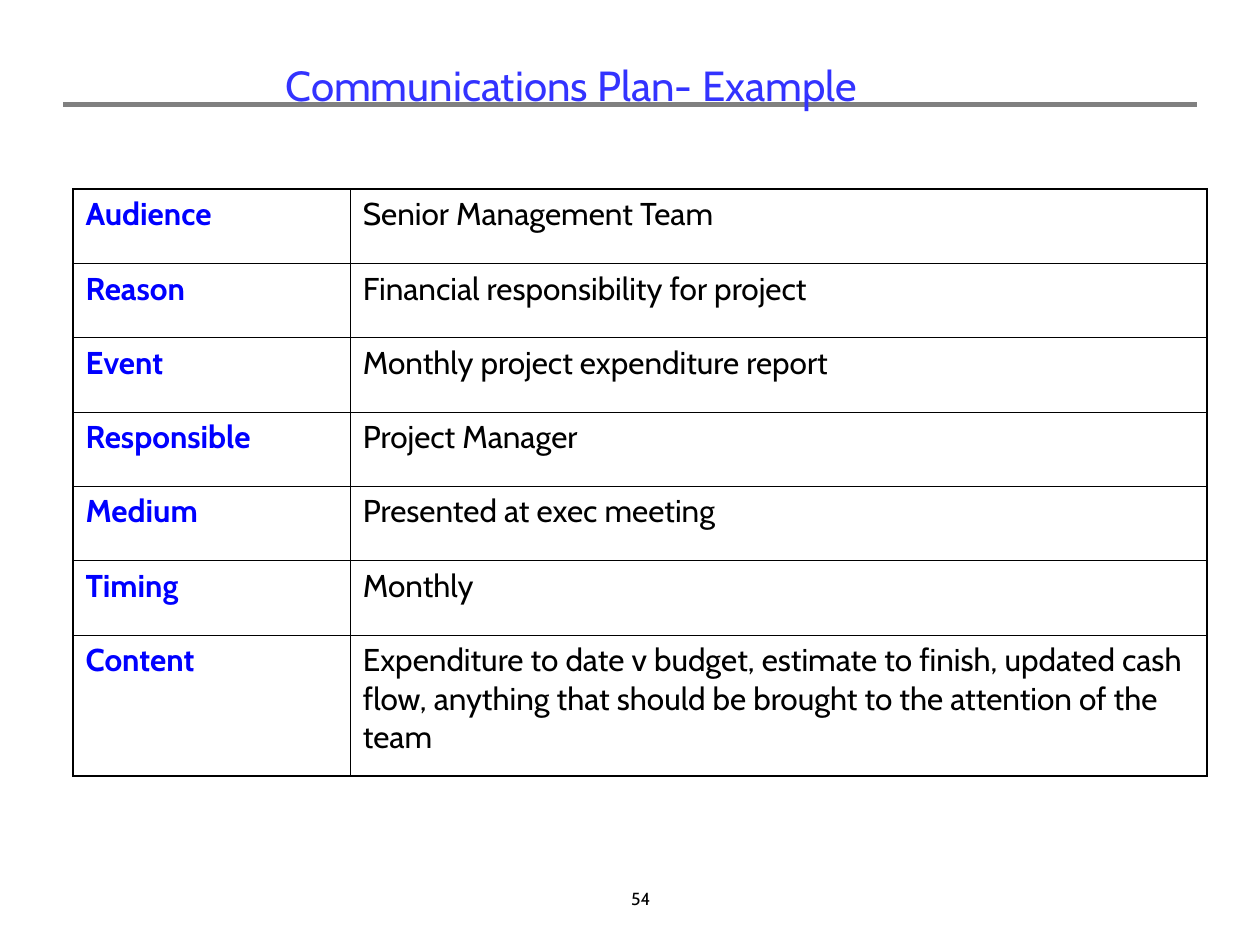
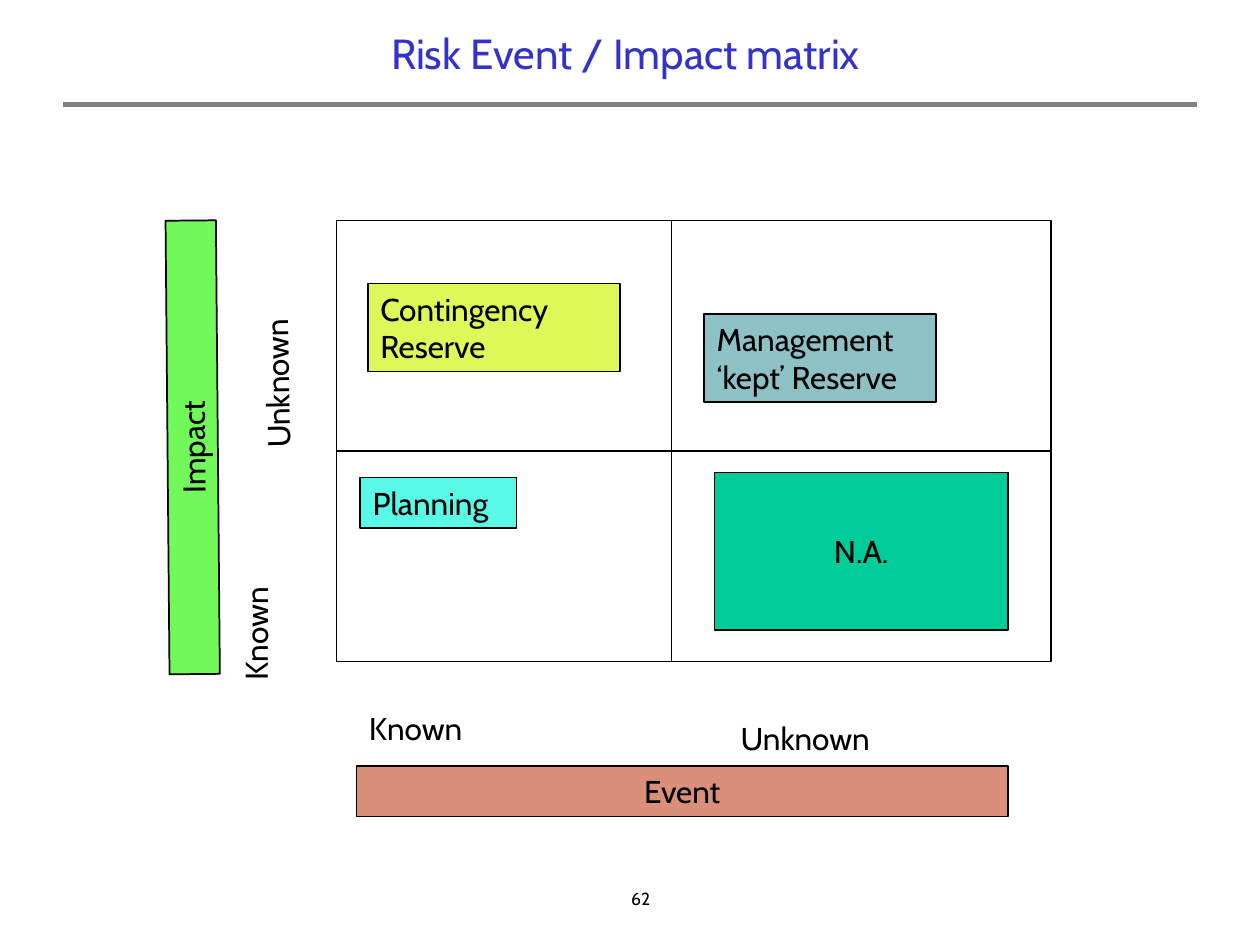
from pptx import Presentation
from pptx.dml.color import RGBColor
from pptx.enum.shapes import MSO_CONNECTOR, MSO_SHAPE
from pptx.enum.text import MSO_ANCHOR, PP_ALIGN
from pptx.oxml import parse_xml
from pptx.oxml.ns import nsdecls
from pptx.util import Inches, Pt
from lxml import etree

FONT = "Cabin"
HUES = {
    "ink": "000000", "rule": "808080", "label": "0000FF",
    "plan": "3333FF", "risk": "3333CC",
    "event": "DA8F78", "impact": "70F959", "planning": "58FAE7",
    "reserve": "DEF85A", "kept": "8DC1C5", "none": "00CC99",
}
HUES = {name: RGBColor.from_string(code) for name, code in HUES.items()}
LEFT, MID = PP_ALIGN.LEFT, PP_ALIGN.CENTER
TOP, CORE = MSO_ANCHOR.TOP, MSO_ANCHOR.MIDDLE


def add_box(slide, place, text, size=18, hue="ink", align=LEFT,
            anchor=TOP, fill=None, turn=0):
    place = [Inches(n) for n in place]
    if fill:
        box = slide.shapes.add_shape(MSO_SHAPE.RECTANGLE, *place)
        box.shadow.inherit = False
        box.fill.solid()
        box.fill.fore_color.rgb = HUES[fill]
        box.line.color.rgb = HUES["ink"]
        box.line.width = Pt(1)
    else:
        box = slide.shapes.add_textbox(*place)
    box.rotation = turn
    frame = box.text_frame
    frame.word_wrap = True
    frame.vertical_anchor = anchor
    para = frame.paragraphs[0]
    para.text = text
    para.alignment = align
    for run in para.runs:
        run.font.name = FONT
        run.font.size = Pt(size)
        run.font.color.rgb = HUES[hue]


def add_rule(slide, ends, hue="ink", width=1):
    rule = slide.shapes.add_connector(
        MSO_CONNECTOR.STRAIGHT, *[Inches(n) for n in ends])
    rule.line.color.rgb = HUES[hue]
    rule.line.width = Pt(width)
    props = rule._element.spPr
    etree.SubElement(props, props.tag.replace("}spPr", "}effectLst").replace(
        "presentationml", "drawingml"))


deck = Presentation()
deck.slide_width, deck.slide_height = Inches(10), Inches(7.5)

# Shared parts: header rule, title and page number
heads = [
    ("Communications Plan- Example", (2.17, 0.42, 5.67, 0.5), "plan", LEFT, TOP, "54"),
    ("Risk Event / Impact matrix", (0.5, 0, 8.93, 0.83), "risk", MID, CORE, "62"),
]
slides = []
for title, place, hue, align, anchor, page in heads:
    slide = deck.slides.add_slide(deck.slide_layouts[6])
    add_rule(slide, (0.5, 0.83, 9.5, 0.83), "rule", 3)
    add_box(slide, (4.5, 7, 1.17, 0.33), page, size=10, align=MID)
    add_box(slide, place, title, 24, hue, align, anchor)
    slides.append(slide)
plan, risk = slides

# Communications plan table
rows = [
    ("Audience", "Senior Management Team"),
    ("Reason", "Financial responsibility for project"),
    ("Event", "Monthly project expenditure report"),
    ("Responsible", "Project Manager"),
    ("Medium", "Presented at exec meeting"),
    ("Timing", "Monthly"),
    ("Content", "Expenditure to date v budget, estimate to finish, updated cash "
     "flow, anything that should be brought to the attention of the team"),
]
last = len(rows) - 1
grid = plan.shapes.add_table(
    len(rows), 2, Inches(0.58), Inches(1.5), Inches(9), Inches(4.67)).table
grid.first_row = grid.horz_banding = False
grid.columns[0].width, grid.columns[1].width = Inches(2.2), Inches(6.8)
for r, texts in enumerate(rows):
    grid.rows[r].height = Inches(1.12 if r == last else 0.59)
    for c, text in enumerate(texts):
        cell = grid.cell(r, c)
        cell.fill.background()
        para = cell.text_frame.paragraphs[0]
        para.text = text
        font = para.runs[0].font
        font.name, font.size, font.bold = FONT, Pt(18), c == 0
        font.color.rgb = HUES["label" if c == 0 else "ink"]
        # Heavier lines on the outer edge
        outer = {"L": c == 0, "R": c == 1, "T": r == 0, "B": r == last}
        props = cell._tc.get_or_add_tcPr()
        for spot, (side, edge) in enumerate(outer.items()):
            width = Pt(1.08 if edge else 0.45)
            props.insert(spot, parse_xml(
                f'<a:ln{side} {nsdecls("a")} w="{width}"><a:solidFill>'
                f'<a:srgbClr val="{HUES["ink"]}"/></a:solidFill></a:ln{side}>'))

# Matrix frame and dividers
frame = risk.shapes.add_shape(
    MSO_SHAPE.RECTANGLE, Inches(2.67), Inches(1.75), Inches(5.67), Inches(3.5))
frame.shadow.inherit = False
frame.fill.background()
frame.line.color.rgb = HUES["ink"]
frame.line.width = Pt(1)
add_rule(risk, (2.67, 3.58, 8.33, 3.58))
add_rule(risk, (5.33, 1.75, 5.33, 5.25))

# Axis bars and their labels
add_box(risk, (2.83, 6.08, 5.17, 0.4), "Event", align=MID, fill="event")
add_box(risk, (-0.27, 3.35, 3.6, 0.4), "Impact", align=MID, fill="impact", turn=269.5)
for text, place, turn in [
    ("Known", (2.83, 5.58, 2.08, 0.4), 0),
    ("Unknown", (5.78, 5.66, 1.33, 0.4), 0),
    ("Known", (0.99, 4.26, 2.08, 0.4), 270.2),
    ("Unknown", (1.53, 2.79, 1.33, 0.4), 268.9),
]:
    add_box(risk, place, text, turn=turn)

# Responses in the quadrants
for text, place, fill, align, anchor in [
    ("Planning", (2.86, 3.79, 1.24, 0.4), "planning", LEFT, TOP),
    ("Contingency\nReserve", (2.92, 2.25, 2, 0.7), "reserve", LEFT, TOP),
    ("Management\n‘kept’ Reserve", (5.59, 2.49, 1.84, 0.7), "kept", LEFT, TOP),
    ("N.A.", (5.67, 3.75, 2.33, 1.25), "none", MID, CORE),
]:
    add_box(risk, place, text, align=align, anchor=anchor, fill=fill)

deck.save("out.pptx")
